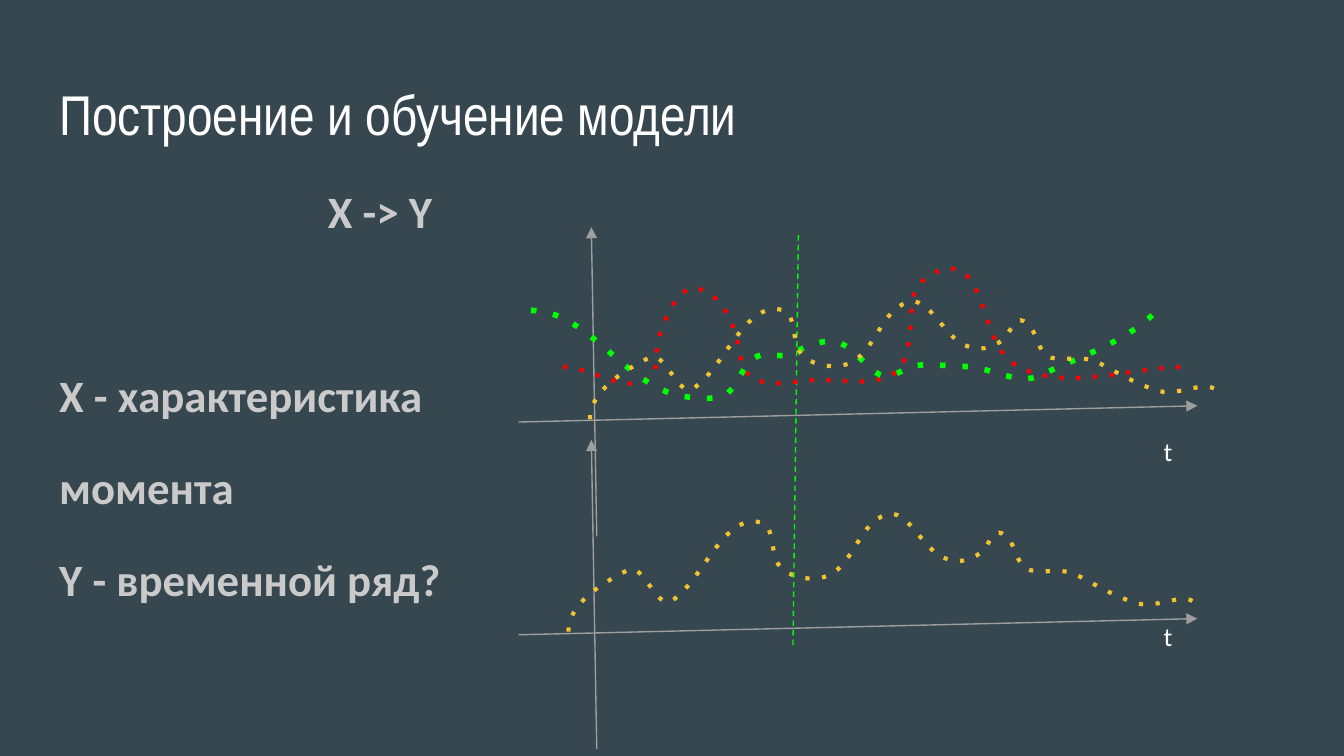
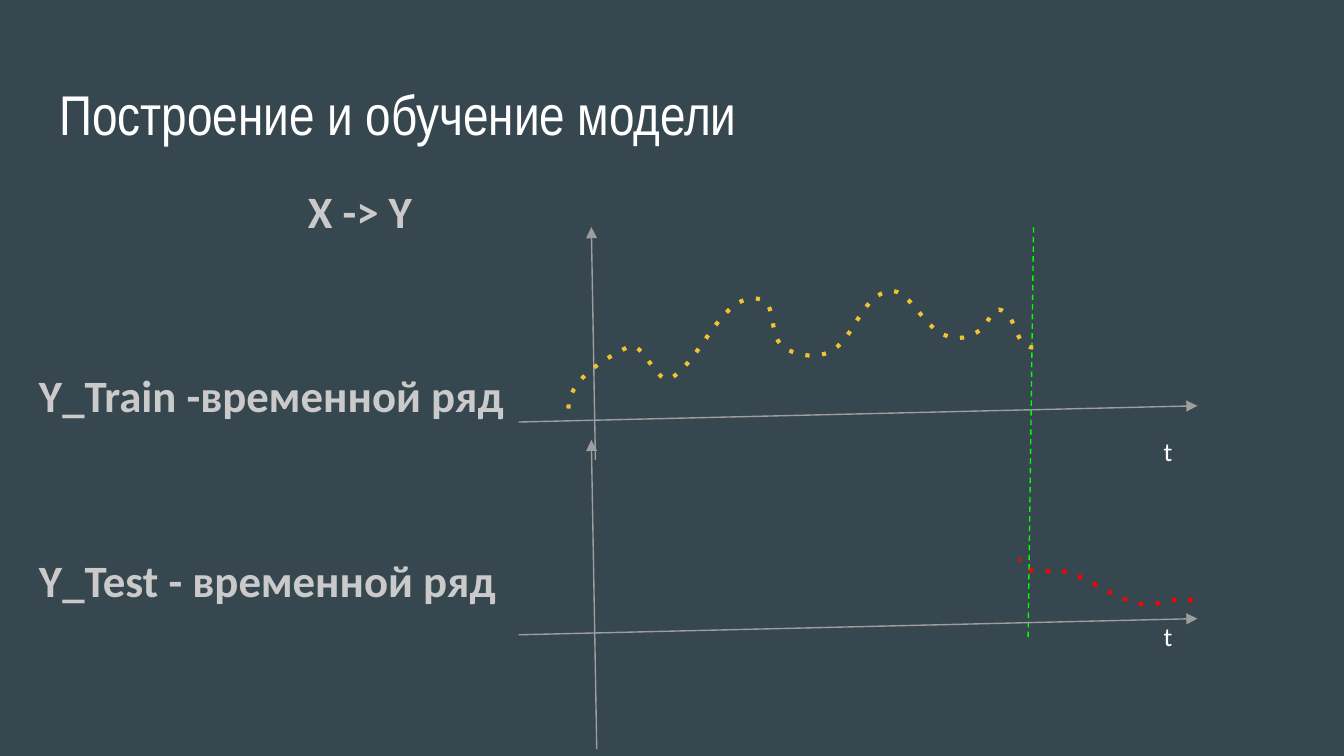
"""Build two slides on fitting a model to time series."""
from lxml.etree import SubElement
from pptx import Presentation
from pptx.dml.color import RGBColor
from pptx.enum.shapes import MSO_CONNECTOR
from pptx.enum.text import MSO_ANCHOR, MSO_AUTO_SIZE, PP_ALIGN
from pptx.oxml.ns import qn
from pptx.util import Pt

HUES = {
    "back": "37474F", "white": "FFFFFF", "text": "CACACA", "axis": "9E9E9E",
    "gold": "F1C232", "red": "FF0000", "green": "00FF00",
}
FRAME = {
    "word_wrap": True, "auto_size": MSO_AUTO_SIZE.NONE, "vertical_anchor": MSO_ANCHOR.TOP,
    "margin_left": Pt(7.2), "margin_right": Pt(7.2),
    "margin_top": Pt(7.2), "margin_bottom": Pt(7.2),
}
FONTS = {
    "title": {"name": "Arial Narrow", "size": Pt(30), "bold": False},
    "body": {"name": "Calibri", "size": Pt(24), "bold": True},
    "mark": {"name": "Calibri", "size": Pt(14), "bold": False},
}
PENS = {
    "axis": {"hue": "axis", "width": 0.75, "tail": "triangle"},
    "cut": {"hue": "green", "width": 0.75, "dash": "dash"},
    "gold": {"hue": "gold", "width": 2.25, "dash": "dot"},
    "red": {"hue": "red", "width": 2.25, "dash": "dot"},
    "green": {"hue": "green", "width": 3, "dash": "dot"},
    "mask": {"hue": "back", "width": 2.25, "dash": "dot", "fill": "back"},
}
WAVE = [
    (0, 0), (0, -15), (18, -26), (32, -33), (40, -37.5), (47.5, -11), (55.5, -16.5),
    (72.5, -28), (83, -63.5), (103, -58.5), (111, -56), (108, -42.5), (112.5, -36),
    (118, -28), (134, -26), (142, -31.5), (153.5, -39.5), (157, -58.5), (170, -62.5),
    (182, -67), (189.5, -43), (202.5, -39), (208, -36.5), (215, -38), (220.5, -42),
    (224.5, -44.5), (227.5, -55.5), (232.5, -52.5), (240, -49), (239, -35.5), (247, -33),
    (255.5, -31), (265.5, -34.5), (273, -30), (283.5, -24.5), (294, -18), (305.5, -15),
    (315.5, -12), (332.5, -23), (337, -13.5),
]
HUMPS = [
    (0, 0), (15, 0), (33, 15), (46, 6), (52, 1.5), (49, -8), (51, -15),
    (55, -26), (61, -44), (72, -42), (83.5, -39.5), (90.5, -26), (93, -15),
    (95, -8), (95, 2), (101.5, 6), (112.5, 11.5), (126, 7), (137.5, 7),
    (150.5, 7), (164, 10), (175.5, 4.5), (188.5, -2), (184.5, -24.5), (188, -39),
    (190, -46), (198.5, -52), (206, -52.5), (226, -55.5), (224, -13.5), (241, -2),
    (266.5, 14.5), (302.5, 0), (333.5, 0),
]
BOWL = [
    (0, 0), (31, 0), (50.5, 41), (81.5, 46), (88, 47), (96, 48), (102.5, 46),
    (111.5, 42.5), (113, 26.5), (123, 24), (127.5, 22.5), (132.5, 25), (137, 24),
    (145, 21), (152.5, 16.5), (160.5, 16.5), (171.5, 16.5), (178, 30), (187, 34.5),
    (192.5, 37.5), (199, 31.5), (204, 30), (213, 28), (222.5, 30), (232, 30),
    (246, 30), (261.5, 41), (273.5, 34.5), (294.5, 24.5), (317.5, 17.5), (334, 1.5),
]
UP = [(319.7, 287.3), (316.8, 121.7)]
ALONG = [(277.9, 226.1), (641.5, 217.4)]
CUT = [(427.7, 126), (424.8, 346.3)]
LEFT = [(299.5, 246.2), (293, 342), (545.8, 339.8), (545.8, 249.8)]
RIGHT = [(558, 128.2), (555.1, 213.8), (652.3, 211.7), (652.3, 131)]
TOP = [("axis", UP, 0, 0), ("axis", ALONG, 0, 0)]
LOW = [("axis", UP, 0, 114), ("axis", ALONG, 0, 114)]

SLIDES = [
    {
        "left": 24.5, "width": 671,
        "lines": [("Х -> Y", 0), ("Х - характеристика", 65.5),
                  ("момента", 16), ("Y - временной ряд?", 16)],
        "marks": TOP + LOW + [
            ("gold", WAVE, 304.5, 338.4), ("cut", CUT, 0, 0),
            ("red", HUMPS, 301.7, 196.6), ("green", BOWL, 284.4, 166.3),
            ("gold", WAVE, 316, 224.6)],
    },
    {
        "left": 13.7, "width": 681,
        "lines": [("Х -> Y", 0), ("Y_Train -временной ряд", 65.5),
                  ("Y_Test - временной ряд", 65.5)],
        "marks": TOP + [
            ("red", WAVE, 304.5, 338.4), ("cut", CUT, 126, -4.3),
            ("gold", WAVE, 304.5, 218.9), ("mask", LEFT, 0, 0),
            ("mask", RIGHT, 0, 0)] + LOW,
    },
]


def write(box, lines, font, hue):
    """Fill a text box with (text, space before) lines and return its paragraphs."""
    frame = box.text_frame
    for key, val in FRAME.items():
        setattr(frame, key, val)
    frame.text = "\n".join(text for text, gap in lines)
    for para, (text, gap) in zip(frame.paragraphs, lines):
        para.alignment = PP_ALIGN.LEFT
        para.space_before = Pt(gap)
        for key, val in FONTS[font].items():
            setattr(para.runs[0].font, key, val)
        para.runs[0].font.color.rgb = RGBColor.from_string(HUES[hue])
    return frame.paragraphs


def draw(slide, spots, hue, width, dash="solid", tail="none", fill=None):
    """Draw a line, a filled outline or a Bezier curve through the spots."""
    spots = [(Pt(x), Pt(y)) for x, y in spots]
    if len(spots) == 2:
        shape = slide.shapes.add_connector(MSO_CONNECTOR.STRAIGHT, *spots[0], *spots[1])
    else:
        form = slide.shapes.build_freeform(*spots[0])
        form.add_line_segments(spots[1:], close=bool(fill))
        shape = form.convert_to_shape()
        if fill:
            shape.fill.solid()
            shape.fill.fore_color.rgb = RGBColor.from_string(HUES[fill])
        else:
            shape.fill.background()
            steps = list(shape._element.iter(qn("a:lnTo")))
            for one, two, three in zip(steps[::3], steps[1::3], steps[2::3]):
                one.tag = qn("a:cubicBezTo")
                for step in (two, three):
                    one.append(step[0])
                    step.getparent().remove(step)
    shape.line.width = Pt(width)
    shape.line.color.rgb = RGBColor.from_string(HUES[hue])
    props = shape._element.spPr
    line = props.find(qn("a:ln"))
    SubElement(line, qn("a:prstDash"), val=dash)
    SubElement(line, qn("a:tailEnd"), type=tail)
    SubElement(props, qn("a:effectLst"))


deck = Presentation()
deck.slide_width, deck.slide_height = Pt(720), Pt(405)
back = deck.slide_master.background.fill
back.solid()
back.fore_color.rgb = RGBColor.from_string(HUES["back"])

for page in SLIDES:
    slide = deck.slides.add_slide(deck.slide_layouts[1])
    title, body = slide.placeholders
    spots = [(title, 24.5, 35.3, 383, 45.4), (body, page["left"], 87.1, page["width"], 269.3)]
    for box, *place in spots:
        for key, val in zip(("left", "top", "width", "height"), place):
            setattr(box, key, Pt(val))
    write(title, [("Построение и обучение модели", 0)], "title", "white")
    for pos, para in enumerate(write(body, page["lines"], "body", "text")):
        para.line_spacing = 1.15
        props = para._p.get_or_add_pPr()
        props.set("marL", str(Pt(0 if pos else 108)))
        props.set("indent", str(Pt(0 if pos else 36)))
        SubElement(props, qn("a:buNone"))

    for pen, shape, left, top in page["marks"]:
        draw(slide, [(x + left, y + top) for x, y in shape], **PENS[pen])
    for top in (226.1, 325.4):
        box = slide.shapes.add_textbox(Pt(616.3), Pt(top), Pt(65.5), Pt(62))
        write(box, [("t", 0)], "mark", "white")

deck.save("out.pptx")
